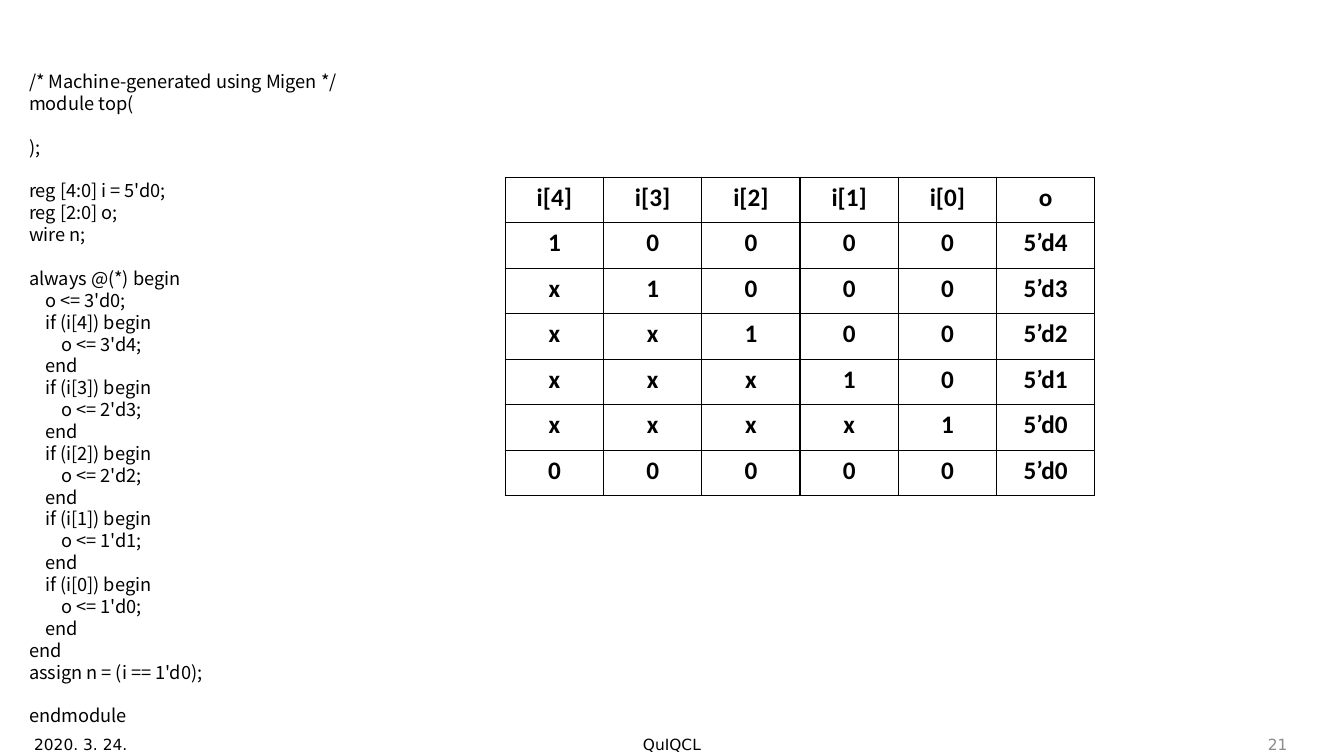
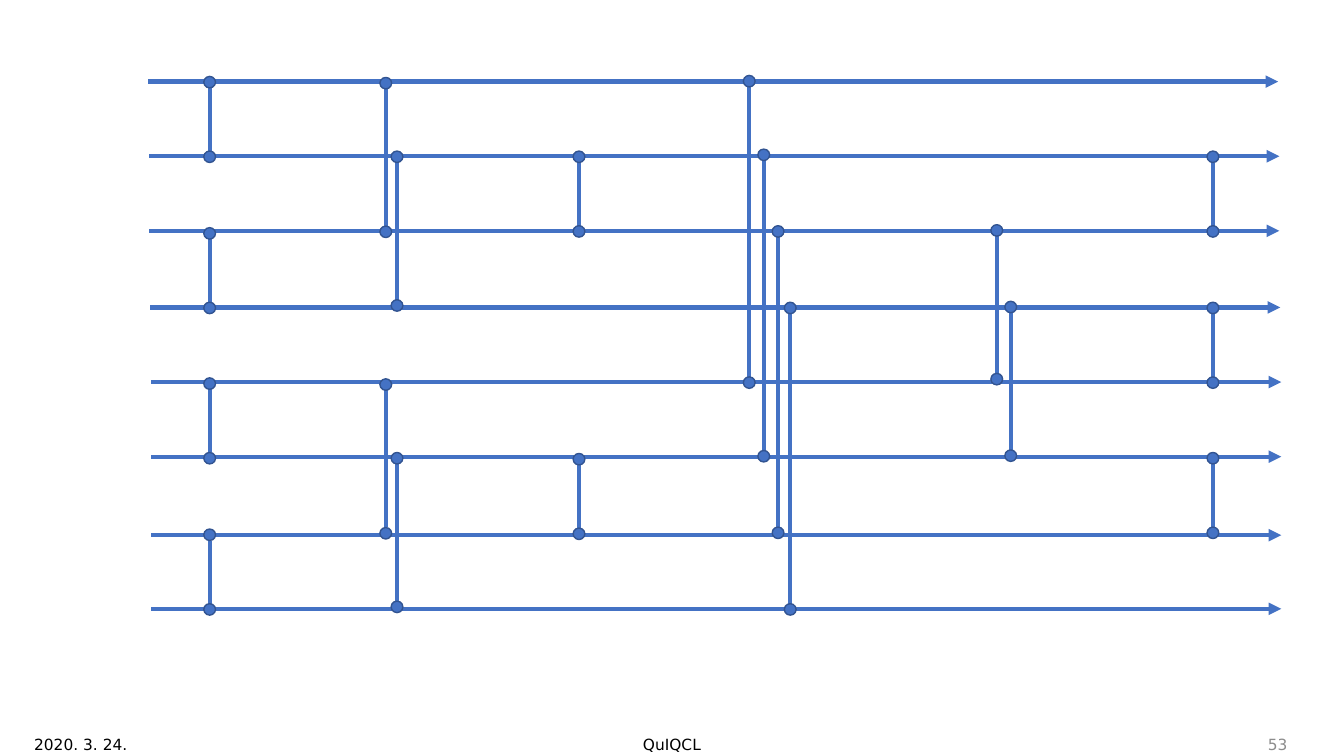
from dataclasses import dataclass

from lxml.etree import SubElement
from pptx import Presentation
from pptx.dml.color import RGBColor
from pptx.enum.shapes import MSO_CONNECTOR, MSO_SHAPE
from pptx.enum.text import MSO_ANCHOR, PP_ALIGN
from pptx.oxml.ns import qn
from pptx.util import Pt


@dataclass(frozen=True)
class Theme:
    ink: str = "000000"
    paper: str = "FFFFFF"
    muted: str = "8C8C8C"
    wire: str = "4472C4"
    node_edge: str = "325491"
    code_font: str = "Noto Sans CJK KR"
    table_font: str = "Calibri"
    footer_font: str = "DejaVu Sans"
    code_size: float = 13
    code_leading: float = 15.62
    table_size: float = 18
    footer_size: float = 11
    wire_width: float = 3
    edge_width: float = 1


PRIORITY_CODE = """/* Machine-generated using Migen */
module top(

);

reg [4:0] i = 5'd0;
reg [2:0] o;
wire n;

always @(*) begin
    o <= 3'd0;
    if (i[4]) begin
        o <= 3'd4;
    end
    if (i[3]) begin
        o <= 2'd3;
    end
    if (i[2]) begin
        o <= 2'd2;
    end
    if (i[1]) begin
        o <= 1'd1;
    end
    if (i[0]) begin
        o <= 1'd0;
    end
end
assign n = (i == 1'd0);

endmodule"""

TRUTH_TABLE = [
    ["i[4]", "i[3]", "i[2]", "i[1]", "i[0]", "o"],
    *[["x"] * k + ["1"] + ["0"] * (4 - k) + [f"5’d{4 - k}"] for k in range(5)],
    ["0"] * 5 + ["5’d0"],
]

WIRE_LENGTH = 807.2
WIRES = [
    (105.8, 58.3), (106.6, 111.6), (106.6, 164.9), (107.3, 219.6),
    (108, 272.9), (108, 326.2), (108, 382.3), (108, 434.9),
]

NEAR, MIDDLE, FAR = 53.3, 106.2, 215.3
COMPARATORS = [
    (149.8, NEAR, [58.7, 166.7, 274, 382]),
    (866.4, NEAR, [112, 220, 327.3]),
    (413.6, NEAR, [112, 328]),
    (275.6, MIDDLE, [59.4, 274.7]),
    (283.6, MIDDLE, [112, 327.3]),
    (712, MIDDLE, [164.6, ]),
    (722, MIDDLE, [219.3]),
    (535.2, FAR, [58]),
    (545.6, FAR, [110.6]),
    (555.8, FAR, [165.3]),
    (564.5, FAR, [220]),
]


def apply(target, formats):
    for attribute, value in formats.items():
        setattr(target, attribute, value)


def paint(fill, colour):
    fill.solid()
    fill.fore_color.rgb = RGBColor.from_string(colour)


class Deck:
    def __init__(self, theme):
        self.theme = theme
        self.presentation = Presentation()
        apply(self.presentation, {"slide_width": Pt(960), "slide_height": Pt(540)})
        self.slide = None

    def start_slide(self):
        blank = self.presentation.slide_layouts[6]
        self.slide = self.presentation.slides.add_slide(blank)
        paint(self.slide.background.fill, self.theme.paper)

    def style_font(self, font, name, size, colour, bold=False):
        apply(font, {"name": name, "size": Pt(size), "bold": bold})
        font.color.rgb = RGBColor.from_string(colour)

    def add_frame(self, left, top, width, height, anchor):
        box = self.slide.shapes.add_textbox(Pt(left), Pt(top), Pt(width), Pt(height))
        apply(box.text_frame, {"word_wrap": True, "vertical_anchor": anchor})
        return box.text_frame

    def add_code(self, code, left, top, width, height):
        theme = self.theme
        frame = self.add_frame(left, top, width, height, MSO_ANCHOR.TOP)
        for index, block in enumerate(code.split("\n\n")):
            paragraph = frame.add_paragraph() if index else frame.paragraphs[0]
            apply(paragraph, {
                "text": block,
                "line_spacing": Pt(theme.code_leading),
                "space_before": Pt(theme.code_leading if index else 0),
            })
            for run in paragraph.runs:
                self.style_font(run.font, theme.code_font, theme.code_size, theme.ink)

    def add_footer(self, number):
        theme = self.theme
        parts = [
            ("2020. 3. 24.", 17.3, 216, PP_ALIGN.LEFT, theme.ink),
            ("QuIQCL", 318, 324, PP_ALIGN.CENTER, theme.ink),
            (str(number), 710.7, 216, PP_ALIGN.RIGHT, theme.muted),
        ]
        for text, left, width, alignment, colour in parts:
            frame = self.add_frame(left, 517.5, width, 28.8, MSO_ANCHOR.MIDDLE)
            paragraph = frame.paragraphs[0]
            apply(paragraph, {"text": text, "alignment": alignment})
            self.style_font(paragraph.runs[0].font, theme.footer_font,
                            theme.footer_size, colour)

    def add_borders(self, cell):
        properties = cell._tc.get_or_add_tcPr()
        for side in ("a:lnL", "a:lnR", "a:lnT", "a:lnB"):
            border = SubElement(properties, qn(side), w=str(Pt(self.theme.edge_width)))
            solid = SubElement(border, qn("a:solidFill"))
            SubElement(solid, qn("a:srgbClr"), val=self.theme.ink)

    def add_grid(self, rows, left, top, column_width, row_height):
        theme = self.theme
        columns = len(rows[0])
        table = self.slide.shapes.add_table(
            len(rows), columns, Pt(left), Pt(top),
            Pt(column_width * columns), Pt(row_height * len(rows))).table
        apply(table, {"first_row": False, "horz_banding": False})
        for column in table.columns:
            column.width = Pt(column_width)
        for row, values in zip(table.rows, rows):
            row.height = Pt(row_height)
            for cell, value in zip(row.cells, values):
                self.add_borders(cell)
                paint(cell.fill, theme.paper)
                paragraph = cell.text_frame.paragraphs[0]
                apply(paragraph, {"text": value, "alignment": PP_ALIGN.CENTER})
                self.style_font(paragraph.runs[0].font, theme.table_font,
                                theme.table_size, theme.ink, bold=True)

    def add_wire(self, x1, y1, x2, y2, arrow=False):
        wire = self.slide.shapes.add_connector(
            MSO_CONNECTOR.STRAIGHT, Pt(x1), Pt(y1), Pt(x2), Pt(y2))
        wire.line.width = Pt(self.theme.wire_width)
        paint(wire.line.fill, self.theme.wire)
        properties = wire._element.spPr
        if arrow:
            SubElement(properties.find(qn("a:ln")), qn("a:tailEnd"), type="triangle")
        SubElement(properties, qn("a:effectLst"))

    def add_node(self, x, y, width=8.4, height=8.2):
        node = self.slide.shapes.add_shape(
            MSO_SHAPE.OVAL, Pt(x - width / 2), Pt(y - height / 2),
            Pt(width), Pt(height))
        node.shadow.inherit = False
        paint(node.fill, self.theme.wire)
        node.line.width = Pt(self.theme.edge_width)
        paint(node.line.fill, self.theme.node_edge)

    def add_comparator(self, x, top, span):
        radius = 4.1
        self.add_wire(x, top + radius, x, top + span - radius)
        for y in (top, top + span):
            self.add_node(x, y)


def main():
    deck = Deck(Theme())

    deck.start_slide()
    deck.add_code(PRIORITY_CODE, 13.7, 46.8, 480, 479.5)
    deck.add_grid(TRUTH_TABLE, 360.9, 126.6, 70.2, 32.5)
    deck.add_footer(21)

    deck.start_slide()
    for start, y in WIRES:
        deck.add_wire(start, y, start + WIRE_LENGTH, y, arrow=True)
    for x, span, tops in COMPARATORS:
        for top in tops:
            deck.add_comparator(x, top, span)
    deck.add_footer(53)

    deck.presentation.save("out.pptx")


if __name__ == "__main__":
    main()
